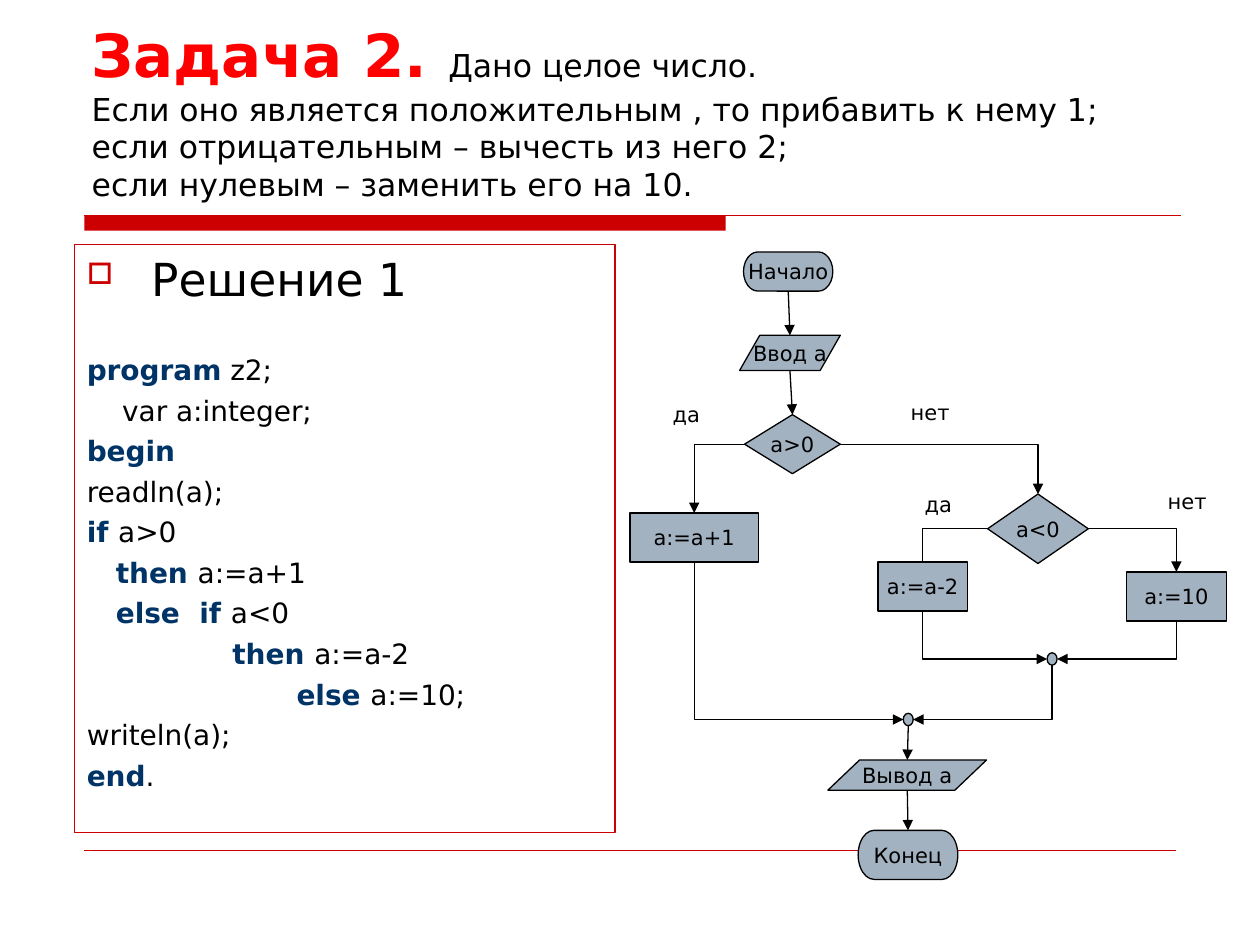
from lxml.etree import SubElement
from pptx import Presentation
from pptx.dml.color import RGBColor
from pptx.enum.shapes import MSO_CONNECTOR, MSO_SHAPE
from pptx.enum.text import MSO_ANCHOR, PP_ALIGN
from pptx.oxml.ns import qn
from pptx.util import Cm, Pt

ELBOW, STRAIGHT = MSO_CONNECTOR.ELBOW, MSO_CONNECTOR.STRAIGHT
RECT = MSO_SHAPE.RECTANGLE
TERM = MSO_SHAPE.FLOWCHART_TERMINATOR
DATA = MSO_SHAPE.FLOWCHART_DATA
TEST = MSO_SHAPE.FLOWCHART_DECISION
STEP = MSO_SHAPE.FLOWCHART_PROCESS
DOT = MSO_SHAPE.FLOWCHART_CONNECTOR
MIDDLE, BOTTOM = MSO_ANCHOR.MIDDLE, MSO_ANCHOR.BOTTOM
CENTER = PP_ALIGN.CENTER
TOP, LEFT, BASE, RIGHT = range(4)


class Theme:
    face = "DejaVu Sans"
    black = RGBColor(0, 0, 0)
    red = RGBColor(0xCC, 0, 0)
    bright = RGBColor(0xFF, 0, 0)
    navy = RGBColor(0, 0x33, 0x66)
    steel = RGBColor(0xA3, 0xB2, 0xC1)
    title, task, head, code, node = Pt(34), Pt(18), Pt(26), Pt(16), Pt(12)
    thin, hair = Pt(0.75), Pt(0.25)


deck = Presentation()
deck.slide_width, deck.slide_height = Cm(25.4), Cm(19.05)
slide = deck.slides.add_slide(deck.slide_layouts[6])
shapes = slide.shapes


def spot(shape, side):
    x = shape.left + {LEFT: 0, RIGHT: shape.width}.get(side, shape.width // 2)
    y = shape.top + {TOP: 0, BASE: shape.height}.get(side, shape.height // 2)
    return x, y


def link(kind, start, stop, ink=Theme.black, width=Theme.thin, tip=""):
    line = shapes.add_connector(kind, *start, *stop)
    line.line.color.rgb = ink
    line.line.width = width
    props = line._element.spPr
    if tip:
        SubElement(props.find(qn("a:ln")), qn("a:" + tip), type="triangle")
    if kind == ELBOW:
        props.find(qn("a:prstGeom")).set("prst", "bentConnector2")
    SubElement(props, qn("a:effectLst"))
    return line


bar = shapes.add_shape(RECT, Cm(1.7), Cm(4.35), Cm(12.93), Cm(0.3))
bar.shadow.inherit = False
bar.fill.solid()
bar.fill.fore_color.rgb = Theme.red
bar.line.fill.background()
link(STRAIGHT, (Cm(1.7), Cm(4.35)), (Cm(23.8), Cm(4.35)), Theme.red)
link(STRAIGHT, (Cm(1.7), Cm(17.15)), (Cm(23.7), Cm(17.15)), Theme.red, Theme.hair)

title = shapes.add_textbox(Cm(1.6), Cm(0.84), Cm(22.22), Cm(3.38))
frame = title.text_frame
frame.word_wrap = True
frame.vertical_anchor = BOTTOM
para = frame.paragraphs[0]
para.font.name = Theme.face
task = [
    "Дано целое число.",
    "Если оно является положительным , то прибавить к нему 1; "
    "если отрицательным – вычесть из него 2;",
    "если нулевым – заменить его на 10.",
]
run = para.add_run()
run.text = "Задача 2. "
run.font.size, run.font.bold = Theme.title, True
run.font.color.rgb = Theme.bright
for row, words in enumerate(task):
    if row:
        para.add_line_break()
    run = para.add_run()
    run.text = words
    run.font.size = Theme.task
    run.font.color.rgb = Theme.black

panel = shapes.add_textbox(Cm(1.5), Cm(4.93), Cm(10.9), Cm(11.86))
panel.line.color.rgb = Theme.red
panel.line.width = Theme.thin
frame = panel.text_frame
frame.word_wrap = True
para = frame.paragraphs[0]
props = para._p.get_or_add_pPr()
props.set("marL", str(Cm(1.3)))
props.set("indent", str(-Cm(1.3)))
SubElement(SubElement(props, qn("a:buClr")), qn("a:srgbClr"), val=str(Theme.red))
SubElement(props, qn("a:buSzPct"), val="65000")
SubElement(props, qn("a:buChar"), char="□")
para.add_run().text = "Решение 1"
para.font.name, para.font.size = Theme.face, Theme.head
para.font.color.rgb = Theme.black

code = [
    ("program", " z2;"),
    ("", "    var a:integer;"),
    ("begin", ""),
    ("", "readln(a);"),
    ("if ", "a>0"),
    ("   then ", "a:=a+1"),
    ("   else  if ", "a<0"),
    ("               then ", "a:=a-2"),
    ("\telse ", "a:=10;"),
    ("", "writeln(a);"),
    ("end", "."),
]
for row, (key, rest) in enumerate(code):
    para = frame.add_paragraph()
    para.space_before = Pt(4) if row else Pt(27)
    if key.startswith("\t"):
        tabs = SubElement(para._p.get_or_add_pPr(), qn("a:tabLst"))
        SubElement(tabs, qn("a:tab"), pos=str(Cm(4.23)), algn="l")
    para.font.name, para.font.size = Theme.face, Theme.code
    for words, bold, ink in ((key, True, Theme.navy), (rest, False, Theme.black)):
        if words:
            run = para.add_run()
            run.text = words
            font = para.font if not (key and rest) else run.font
            font.bold = bold
            font.color.rgb = ink

nodes = {}
for name, kind, x, y, w, h, words in [
    ("start", TERM, 14.99, 5.08, 1.8, 0.79, "Начало"),
    ("input", DATA, 14.91, 6.76, 2.03, 0.71, "Ввод a"),
    ("above", TEST, 15.01, 8.36, 1.93, 1.19, "a>0"),
    ("plus", STEP, 12.7, 10.34, 2.59, 0.99, "a:=a+1"),
    ("below", TEST, 19.91, 9.96, 2.03, 1.4, "a<0"),
    ("minus", STEP, 17.7, 11.33, 1.8, 0.99, "a:=a-2"),
    ("ten", STEP, 22.71, 11.53, 2.01, 0.99, "a:=10"),
    ("inner", DOT, 21.11, 13.16, 0.2, 0.25, ""),
    ("outer", DOT, 18.21, 14.38, 0.2, 0.25, ""),
    ("print", DATA, 16.69, 15.32, 3.2, 0.61, "Вывод a"),
    ("end", TERM, 17.3, 16.74, 2.01, 0.99, "Конец"),
]:
    node = nodes[name] = shapes.add_shape(kind, Cm(x), Cm(y), Cm(w), Cm(h))
    node.shadow.inherit = False
    node.fill.solid()
    node.fill.fore_color.rgb = Theme.steel
    node.line.color.rgb = Theme.black
    node.line.width = Theme.thin
    if words:
        frame = node.text_frame
        frame.word_wrap = False
        frame.vertical_anchor = MIDDLE
        para = frame.paragraphs[0]
        para.text = words
        para.alignment = CENTER
        para.font.name, para.font.size = Theme.face, Theme.node
        para.font.color.rgb = Theme.black

for name, goal in [("start", "input"), ("input", "above"), ("outer", "print"), ("print", "end")]:
    a, b = nodes[name], nodes[goal]
    line = link(STRAIGHT, spot(a, BASE), spot(b, TOP), tip="tailEnd")
    if a.auto_shape_type == TERM:
        line.begin_connect(a, BASE)
    if b.auto_shape_type in (TERM, TEST):
        line.end_connect(b, TOP)

for name, side, goal, edge, tip in [
    ("above", LEFT, "plus", TOP, "tailEnd"),
    ("above", RIGHT, "below", TOP, "tailEnd"),
    ("below", LEFT, "minus", TOP, ""),
    ("below", RIGHT, "ten", TOP, "tailEnd"),
    ("inner", LEFT, "minus", BASE, "headEnd"),
    ("inner", RIGHT, "ten", BASE, "headEnd"),
    ("outer", LEFT, "plus", BASE, "headEnd"),
    ("outer", RIGHT, "inner", BASE, "headEnd"),
]:
    a, b = nodes[name], nodes[goal]
    line = link(ELBOW, spot(a, side), spot(b, edge), tip=tip)
    joint = line._element.nvCxnSpPr.cNvCxnSpPr
    for tag, node, at in (("a:stCxn", a, side), ("a:endCxn", b, edge)):
        site = at * 2 if node.auto_shape_type == DOT else at
        SubElement(joint, qn(tag), id=str(node.shape_id), idx=str(site))

for words, x, y, w in [
    ("да", 13.31, 7.98, 1.98),
    ("нет", 18.11, 7.92, 1.78),
    ("да", 18.39, 9.78, 1.5),
    ("нет", 23.29, 9.73, 1.8),
]:
    frame = shapes.add_textbox(Cm(x), Cm(y), Cm(w), Cm(0.76)).text_frame
    frame.word_wrap = True
    para = frame.paragraphs[0]
    para.text = words
    para.font.name, para.font.size = Theme.face, Theme.node
    para.font.color.rgb = Theme.black

deck.save("out.pptx")
